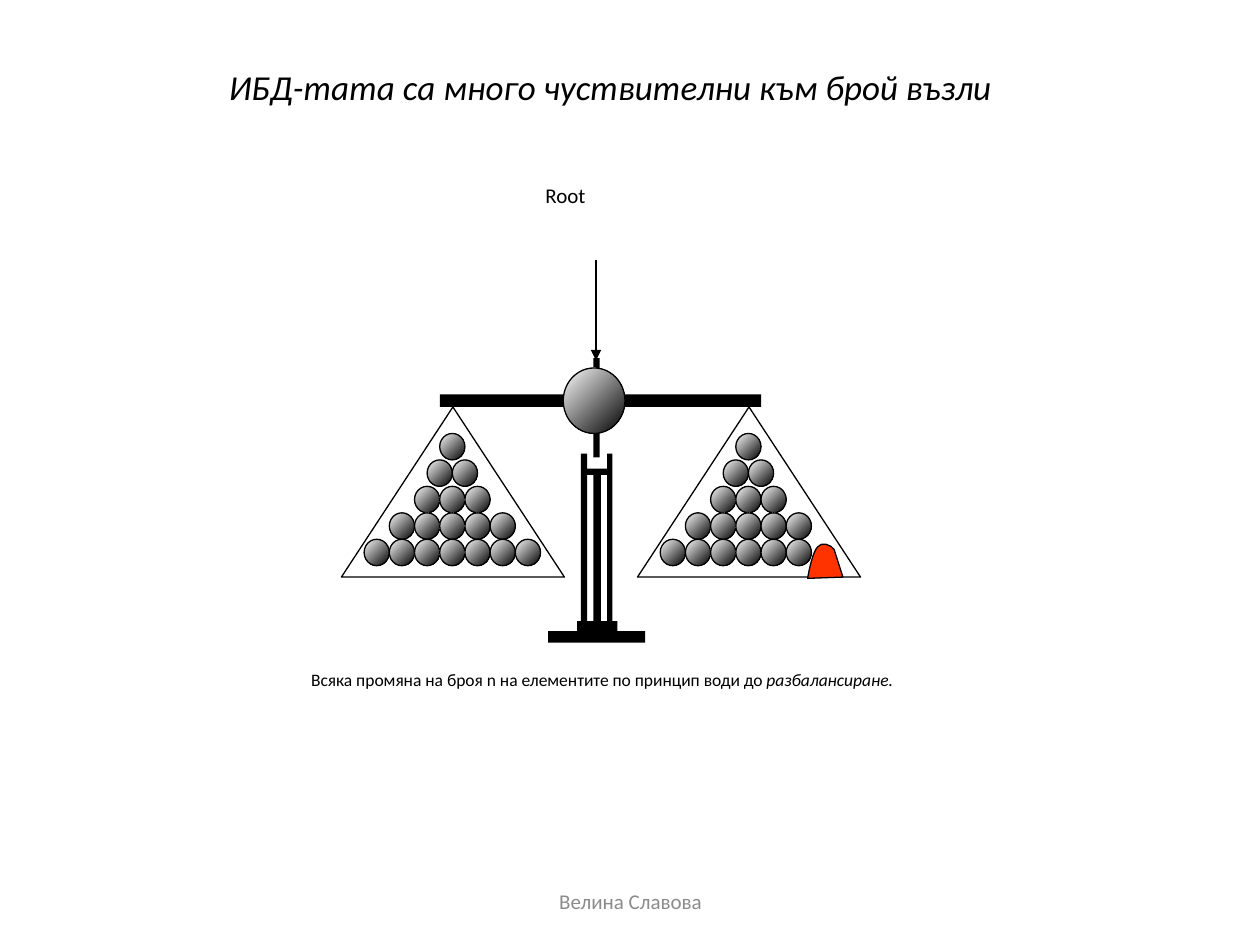
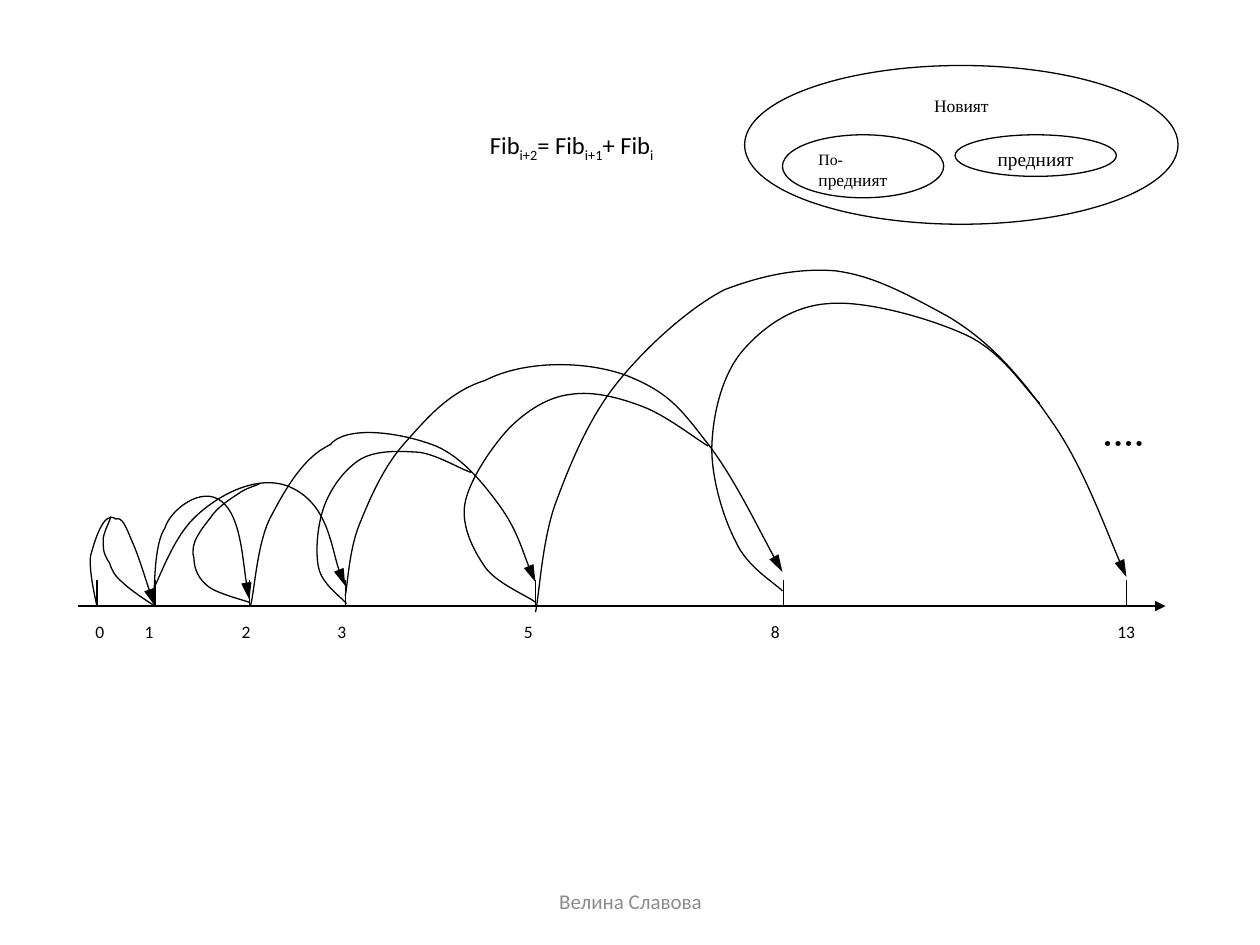
from pptx import Presentation
from pptx.dml.color import RGBColor
from pptx.enum.dml import MSO_LINE
from pptx.enum.shapes import MSO_CONNECTOR, MSO_SHAPE as SHAPE
from pptx.enum.text import MSO_ANCHOR as ANCHOR, PP_ALIGN as ALIGN
from pptx.oxml.ns import qn
from pptx.oxml.xmlchemy import OxmlElement
from pptx.util import Pt

PX = 9144  # EMU per px, 100 px to the inch
BLACK = RGBColor(0x00, 0x00, 0x00)
WHITE = RGBColor(0xFF, 0xFF, 0xFF)
RED = RGBColor(0xFF, 0x33, 0x00)
GREY = RGBColor(0x8C, 0x8C, 0x8C)


def paint(shape, fill=None, width=0.75, arrow=None):
    """Set fill, black outline, optional arrowhead length; remove the shadow."""
    if fill == "ball":
        shape.fill.gradient()
        shape.fill.gradient_angle = 315
        for stop, colour in zip(shape.fill.gradient_stops, (WHITE, BLACK)):
            stop.color.rgb = colour
    elif fill is not None:
        shape.fill.solid()
        shape.fill.fore_color.rgb = fill
    if width:
        shape.line.color.rgb = BLACK
        shape.line.width = Pt(width)
    else:
        shape.line.fill.background()
    properties = shape._element.spPr
    if arrow:
        head = OxmlElement("a:tailEnd")
        head.set("type", "triangle")
        head.set("len", arrow)
        properties.find(qn("a:ln")).append(head)
    properties.append(OxmlElement("a:effectLst"))


def add_curve(slide, points, closed=False):
    """Draw a start point followed by Bézier triples (two handles and an end)."""
    builder = slide.shapes.build_freeform(*points[0], scale=PX)
    builder.add_line_segments(points[1:], close=closed)
    curve = builder.convert_to_shape()
    segments = list(curve._element.iter(qn("a:lnTo")))
    for first in range(0, len(segments), 3):
        bezier = OxmlElement("a:cubicBezTo")
        segments[first].addprevious(bezier)
        for segment in segments[first:first + 3]:
            bezier.append(segment[0])
            segment.getparent().remove(segment)
    return curve


presentation = Presentation()
presentation.slide_width = 1000 * PX
presentation.slide_height = 750 * PX
blank = presentation.slide_layouts[6]
scales_slide = presentation.slides.add_slide(blank)
fibonacci_slide = presentation.slides.add_slide(blank)

# Slide 1: beam, pole and stand of the scales
BEAM = (349, 313, 255, 10)
POLE_TOP = (471, 263, 5, 34)
POLE_BOTTOM = (471, 342, 5, 21)
CROSSBAR = (463, 372, 22, 5)
for box in (BEAM, POLE_TOP, POLE_BOTTOM, CROSSBAR):
    bar = scales_slide.shapes.add_shape(SHAPE.RECTANGLE, *(PX * n for n in box))
    paint(bar, BLACK, width=0)

stand_outline = [
    (490, 501), (490, 493), (486, 493), (486, 360), (482, 360), (482, 493),
    (477, 493), (477, 374), (471, 374), (471, 493), (466, 493), (466, 360),
    (461, 360), (461, 493), (458, 493), (458, 501), (435, 501), (435, 510),
    (512, 510), (512, 501),
]
builder = scales_slide.shapes.build_freeform(*stand_outline[0], scale=PX)
builder.add_line_segments(stand_outline[1:], close=True)
paint(builder.convert_to_shape(), BLACK, width=0)

# The two pans, each with a pyramid of balls
BALL_WIDTH, BALL_HEIGHT = 20, 21
PAN_WIDTH, PAN_HEIGHT = 177, 135
for pan_left, row_sizes, missing in ((506, (1, 2, 3, 5, 7), 1),
                                     (271, (1, 2, 3, 5, 7), 0)):
    pan = scales_slide.shapes.add_shape(
        SHAPE.ISOSCELES_TRIANGLE, pan_left * PX, 323 * PX, PAN_WIDTH * PX, PAN_HEIGHT * PX)
    paint(pan, WHITE)
    for row, size in enumerate(row_sizes):
        row_left = pan_left + (PAN_WIDTH - size * BALL_WIDTH) // 2
        shown = size - missing if row == len(row_sizes) - 1 else size
        for column in range(shown):
            ball = scales_slide.shapes.add_shape(
                SHAPE.OVAL, (row_left + column * BALL_WIDTH) * PX,
                (344 + row * BALL_HEIGHT) * PX, BALL_WIDTH * PX, BALL_HEIGHT * PX)
            paint(ball, "ball")

hub = scales_slide.shapes.add_shape(SHAPE.OVAL, 447 * PX, 292 * PX, 49 * PX, 52 * PX)
paint(hub, "ball")
root_backdrop = scales_slide.shapes.add_shape(
    SHAPE.RECTANGLE, 379 * PX, 222 * PX, 239 * PX, 62 * PX)
paint(root_backdrop, WHITE, width=0)
root_arrow = scales_slide.shapes.add_connector(
    MSO_CONNECTOR.STRAIGHT, 473 * PX, 206 * PX, 473 * PX, 286 * PX)
paint(root_arrow, arrow="med")

extra_weight = add_curve(scales_slide, [
    (641, 459), (641, 459), (669, 458), (669, 458),
    (669, 458), (662, 436), (662, 436),
    (659, 432), (652, 430), (649, 434),
    (645, 438), (642, 453), (641, 459)], closed=True)
paint(extra_weight, RED)

# Slide 2: number axis with a tick at each Fibonacci number
AXIS_Y = 481
tick_positions = {"0": (77, 66), "1": (123, 105), "2": (198, 182), "3": (274, 258),
                  "5": (425, 406), "8": (622, 602), "13": (894, 877)}
axis = fibonacci_slide.shapes.add_connector(
    MSO_CONNECTOR.STRAIGHT, 62 * PX, AXIS_Y * PX, 925 * PX, AXIS_Y * PX)
paint(axis, arrow="med")
for tick_x, label_left in tick_positions.values():
    tick = fibonacci_slide.shapes.add_connector(
        MSO_CONNECTOR.STRAIGHT, tick_x * PX, 460 * PX, tick_x * PX, AXIS_Y * PX)
    paint(tick)

forward_jumps = [
    [(77, 481), (77, 481), (70, 452), (72, 441), (76, 426), (83, 405), (92, 412),
     (97, 410), (100, 418), (105, 430), (110, 441), (119, 471), (123, 481)],
    [(122, 476), (123, 467), (122, 432), (131, 419), (135, 405), (160, 385), (176, 398),
     (191, 410), (194, 460), (198, 476)],
    [(123, 465), (127, 457), (136, 433), (148, 418), (160, 402), (198, 374), (229, 386),
     (260, 399), (265, 449), (274, 465)],
    [(199, 480), (202, 469), (204, 433), (214, 412), (225, 391), (240, 363), (262, 353),
     (274, 338), (315, 342), (346, 354), (367, 363), (384, 384), (397, 402),
     (410, 420), (419, 450), (425, 462)],
    [(274, 473), (276, 464), (277, 437), (285, 417), (293, 397), (304, 371), (321, 352),
     (338, 333), (356, 311), (385, 302), (416, 286), (464, 286), (497, 298),
     (530, 311), (540, 324), (560, 350), (581, 376), (608, 432), (621, 454)],
    [(425, 486), (428, 472), (430, 432), (440, 402), (451, 372), (466, 334), (489, 305),
     (511, 277), (546, 245), (575, 230), (609, 217), (637, 213), (663, 215),
     (693, 219), (717, 232), (752, 251), (786, 271), (811, 300), (835, 335),
     (859, 369), (882, 432), (894, 458)],
]
joining_arcs = [
    [(123, 481), (118, 478), (103, 468), (97, 462), (91, 457), (89, 453), (87, 447),
     (81, 438), (82, 434), (82, 427), (83, 421), (87, 414), (88, 410)],
    [(198, 478), (192, 476), (173, 471), (166, 466), (158, 460), (154, 452), (154, 443),
     (150, 431), (161, 419), (167, 411), (173, 402), (183, 396), (189, 392),
     (196, 387), (202, 386), (206, 384)],
    [(275, 479), (271, 474), (256, 464), (253, 451), (250, 438), (252, 415), (258, 400),
     (264, 385), (275, 371), (287, 364), (300, 357), (318, 358), (333, 359),
     (347, 361), (365, 372), (374, 375)],
    [(425, 478), (419, 473), (394, 463), (385, 450), (376, 437), (366, 418), (369, 400),
     (372, 382), (390, 355), (404, 340), (418, 326), (435, 315), (453, 313),
     (471, 310), (493, 316), (511, 323), (529, 330), (552, 348), (562, 354)],
    [(621, 469), (614, 462), (593, 450), (584, 430), (574, 411), (564, 378), (565, 353),
     (566, 328), (573, 299), (588, 280), (603, 262), (627, 243), (657, 241),
     (687, 238), (739, 253), (767, 266), (795, 279), (813, 308), (825, 320)],
]
for curves, arrow in ((forward_jumps, "lg"), (joining_arcs, None)):
    for points in curves:
        curve = add_curve(fibonacci_slide, points)
        curve.fill.background()
        paint(curve, arrow=arrow)

ellipsis = fibonacci_slide.shapes.add_connector(
    MSO_CONNECTOR.STRAIGHT, 879 * PX, 352 * PX, 910 * PX, 352 * PX)
paint(ellipsis, width=3)
ellipsis.line.dash_style = MSO_LINE.ROUND_DOT
ellipsis._element.spPr.find(qn("a:ln")).set("cap", "rnd")

# Nested sets: the new number holds the two before it
nested_sets = [
    ((591, 52, 344, 126), ALIGN.CENTER, [("Новият", 10)]),
    ((621, 107, 128, 50), ALIGN.LEFT, [("По-", 9), ("предният", 10)]),
    ((758, 107, 128, 33), ALIGN.CENTER, [("предният", 11)]),
]
for box, alignment, runs in nested_sets:
    oval = fibonacci_slide.shapes.add_shape(SHAPE.OVAL, *(PX * n for n in box))
    paint(oval, WHITE)
    oval.text_frame.vertical_anchor = ANCHOR.TOP
    paragraph = oval.text_frame.paragraphs[0]
    paragraph.alignment = alignment
    paragraph.font.name = "Times New Roman"
    paragraph.font.color.rgb = BLACK
    for text, size in runs:
        run = paragraph.add_run()
        run.text = text
        run.font.size = Pt(size)

# Text of both slides: slide, box, anchor, alignment, size, colour, runs
texts = [
    (scales_slide, (423, 140, 304, 165), ANCHOR.TOP, ALIGN.LEFT, 12, BLACK, [("Root", "")]),
    (scales_slide, (237, 526, 529, 27), ANCHOR.MIDDLE, ALIGN.LEFT, 10, BLACK,
     [("Всяка промяна на броя n на елементите по принцип води до ", ""),
      ("разбалансиране.", "italic")]),
    (scales_slide, (169, 47, 631, 44), ANCHOR.MIDDLE, ALIGN.CENTER, 20, BLACK,
     [("ИБД-тата са много чуствителни към брой възли", "italic")]),
    (fibonacci_slide, (379, 100, 190, 33), ANCHOR.MIDDLE, ALIGN.LEFT, 14, BLACK,
     [("Fib", ""), ("i+2", "subscript"), ("= Fib", ""), ("i+1", "subscript"),
      ("+ Fib", ""), ("i", "subscript")]),
]
for number, (tick_x, label_left) in tick_positions.items():
    texts.append((fibonacci_slide, (label_left, 488, 40, 27), ANCHOR.TOP, ALIGN.LEFT,
                  10, BLACK, [(number, "")]))
for slide in presentation.slides:
    texts.append((slide, (342, 695, 317, 40), ANCHOR.MIDDLE, ALIGN.CENTER,
                  12, GREY, [("Велина Славова", "")]))

for slide, box, anchor, alignment, size, colour, runs in texts:
    frame = slide.shapes.add_textbox(*(PX * n for n in box)).text_frame
    frame.word_wrap = True
    frame.vertical_anchor = anchor
    paragraph = frame.paragraphs[0]
    paragraph.alignment = alignment
    paragraph.font.name = "Calibri"
    paragraph.font.size = Pt(size)
    paragraph.font.color.rgb = colour
    for text, style in runs:
        run = paragraph.add_run()
        run.text = text
        if style == "italic":
            run.font.italic = True
        elif style == "subscript":
            run._r.get_or_add_rPr().set("baseline", "-25000")

presentation.save("out.pptx")
